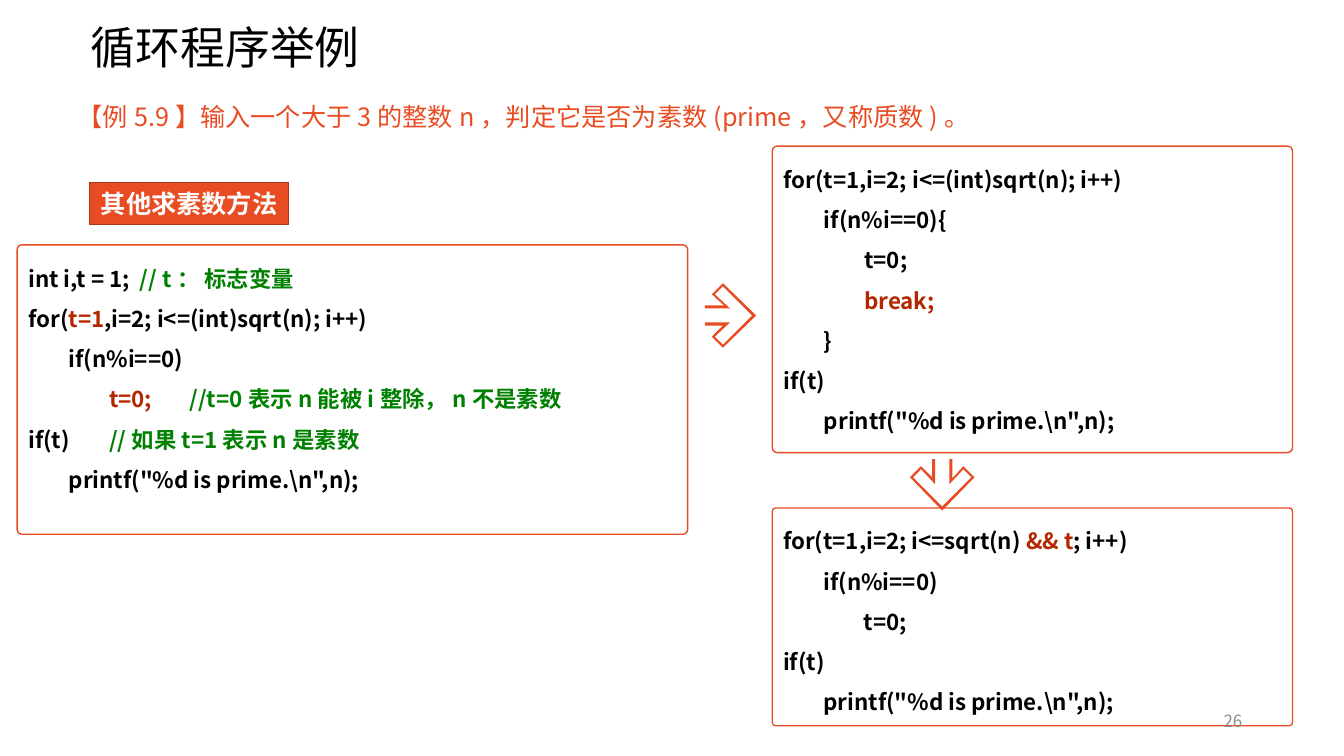
from dataclasses import dataclass

from lxml import etree
from pptx import Presentation
from pptx import util as u
from pptx.dml import color as dml
from pptx.enum import shapes as kinds, text as txt
from pptx.oxml import ns

FONT = "Noto Sans CJK SC"
HUES = {
    "ink": "000000", "paper": "FFFFFF", "accent": "E84C22", "edge": "AC3819",
    "note": "008000", "key": "B22600", "gray": "8C8C8C",
}
TAB = 0.4  # width of one code indent, inches
Span = tuple[str, str]
Place = tuple[float, float, float, float]


@dataclass
class Panel:
    place: Place
    lines: list[list[Span]]


@dataclass
class Arrow:
    left: float
    top: float
    turn: int


def ink(text: str) -> list[Span]:
    return [(text, "ink")]


PRINT = ink('\tprintf("%d is prime.\\n",n);')
PANELS = [
    Panel((0.17, 2.43, 6.65, 2.87), [
        [("int i,t = 1;  ", "ink"), ("// t： 标志变量", "note")],
        [("for(", "ink"), ("t=1", "key"), (",i=2; i<=(int)sqrt(n); i++)", "ink")],
        ink("\tif(n%i==0)"),
        [("\t\tt=0;\t", "key"), ("//t=0表示n能被i整除，n不是素数", "note")],
        [("if(t)\t", "ink"), ("//如果t=1表示n是素数", "note")],
        PRINT,
    ]),
    Panel((7.66, 1.45, 5.16, 3.04), [
        ink("for(t=1,i=2; i<=(int)sqrt(n); i++)"),
        ink("\tif(n%i==0){"),
        ink("\t\tt=0;"),
        [("\t\tbreak;", "key")],
        ink("\t}"),
        ink("if(t)"),
        PRINT,
    ]),
    Panel((7.66, 5.04, 5.16, 2.16), [
        [("for(t=1,i=2; i<=sqrt(n) ", "ink"), ("&& t", "key"), ("; i++)", "ink")],
        ink("\tif(n%i==0)"),
        ink("\t\tt=0;"),
        ink("if(t)"),
        PRINT,
    ]),
]

# Outlined arrow pointing right, inches from its own corner
ARROW = [
    (0.51, 0.32), (0.18, 0.64), (0.07, 0.53), (0.18, 0.42), (0, 0.42), (0, 0.39),
    (0.25, 0.39), (0.1, 0.53), (0.18, 0.61), (0.47, 0.32), (0.18, 0.03),
    (0.1, 0.11), (0.25, 0.25), (0, 0.25), (0, 0.22), (0.19, 0.22), (0.07, 0.11),
    (0.18, 0),
]
ARROWS = [Arrow(6.99, 2.81, 0), Arrow(9.09, 4.49, 90)]


def rgb(hue: str) -> dml.RGBColor:
    return dml.RGBColor.from_string(HUES[hue])


def box(place: Place) -> list[u.Length]:
    return [u.Inches(n) for n in place]


def style(run, size: float, hue: str, bold: bool = False) -> None:
    font = run.font
    font.size, font.bold, font.name = u.Pt(size), bold, FONT
    font.color.rgb = rgb(hue)
    east = etree.SubElement(run._r.get_or_add_rPr(), ns.qn("a:ea"))
    east.set("typeface", FONT)


def label(shape, words: str, size: float, hue: str, align, anchor,
          bold: bool = False):
    frame = shape.text_frame
    frame.text = words
    frame.word_wrap = True
    frame.auto_size = txt.MSO_AUTO_SIZE.NONE
    frame.vertical_anchor = anchor
    para = frame.paragraphs[0]
    para.alignment = align
    style(para.runs[0], size, hue, bold)
    return para


def paint(shape, fill: str, line: str | None) -> None:
    shape.shadow.inherit = False
    shape.fill.solid()
    shape.fill.fore_color.rgb = rgb(fill)
    if line:
        shape.line.color.rgb = rgb(line)
        shape.line.width = u.Pt(1)
    else:
        shape.line.fill.background()


def move(shape, place: Place) -> None:
    shape.left, shape.top, shape.width, shape.height = box(place)


def tabs(para) -> None:
    stops = etree.SubElement(para._p.get_or_add_pPr(), ns.qn("a:tabLst"))
    for step in range(1, 7):
        stop = etree.SubElement(stops, ns.qn("a:tab"))
        stop.set("pos", str(u.Inches(TAB * step)))
        stop.set("algn", "l")


def draw_panel(slide, panel: Panel) -> None:
    shape = slide.shapes.add_shape(
        kinds.MSO_SHAPE.ROUNDED_RECTANGLE, *box(panel.place))
    shape.adjustments[0] = 0.016
    paint(shape, "paper", "accent")
    frame = shape.text_frame
    frame.word_wrap = True
    frame.vertical_anchor = txt.MSO_ANCHOR.TOP
    for row, spans in enumerate(panel.lines):
        para = frame.add_paragraph() if row else frame.paragraphs[0]
        para.alignment = txt.PP_ALIGN.LEFT
        para.line_spacing = 1.5
        tabs(para)
        for words, hue in spans:
            run = para.add_run()
            run.text = words
            style(run, 16, hue, True)


def draw_arrow(slide, arrow: Arrow) -> None:
    pts = [(u.Inches(arrow.left + x), u.Inches(arrow.top + y)) for x, y in ARROW]
    form = slide.shapes.build_freeform(*pts[0])
    form.add_line_segments(pts[1:], close=True)
    shape = form.convert_to_shape()
    shape.rotation = arrow.turn
    paint(shape, "accent", None)


def main() -> None:
    deck = Presentation()
    deck.slide_width, deck.slide_height = u.Inches(13.33), u.Inches(7.5)
    slide = deck.slides.add_slide(deck.slide_layouts[1])
    left, mid = txt.PP_ALIGN.LEFT, txt.MSO_ANCHOR.MIDDLE

    # Title and task
    title, body = slide.placeholders
    move(title, (0.8, -0.23, 11.5, 1.45))
    label(title, "循环程序举例", 32, "ink", left, mid).line_spacing = 0.9
    move(body, (0.67, 0.89, 10.81, 0.45))
    task = label(body, "【例5.9】输入一个大于3的整数n，判定它是否为素数(prime，又称质数)。",
                 18, "accent", left, txt.MSO_ANCHOR.TOP)
    task.line_spacing, task.space_before = 1.2, u.Pt(10)
    props = task._p.get_or_add_pPr()
    props.set("marL", str(u.Inches(0.1)))
    props.set("indent", str(u.Inches(-0.1)))
    etree.SubElement(props, ns.qn("a:buNone"))

    # Code panels and arrows
    for panel in PANELS:
        draw_panel(slide, panel)
    for arrow in ARROWS:
        draw_arrow(slide, arrow)

    # Section tag
    tag = slide.shapes.add_shape(
        kinds.MSO_SHAPE.RECTANGLE, *box((0.89, 1.81, 1.97, 0.42)))
    paint(tag, "accent", "edge")
    tag.text_frame.margin_left = tag.text_frame.margin_right = 0
    label(tag, "其他求素数方法", 18, "paper", txt.PP_ALIGN.CENTER, mid, True)

    # Page number
    page = slide.shapes.add_textbox(*box((9.42, 6.95, 3, 0.4)))
    label(page, "26", 12, "gray", txt.PP_ALIGN.RIGHT, mid)

    deck.save("out.pptx")


if __name__ == "__main__":
    main()
